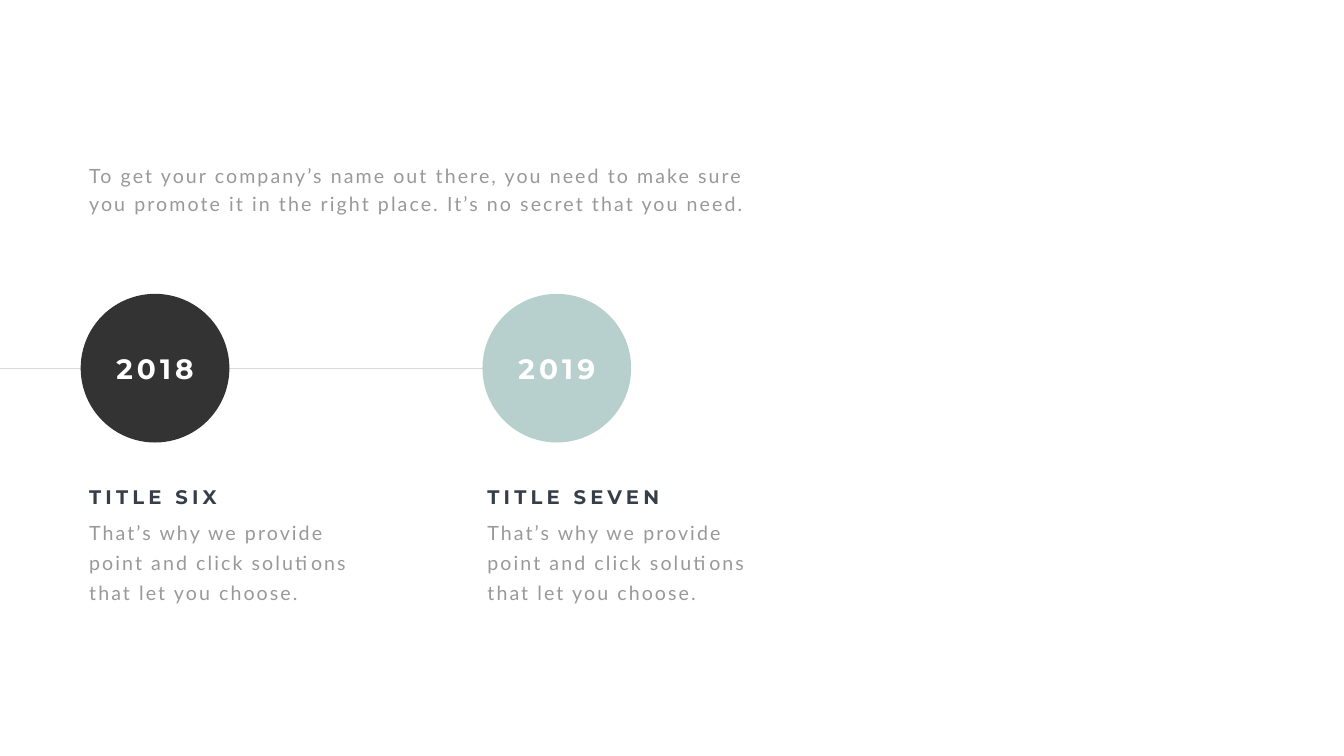
from pptx import Presentation
from pptx.dml.color import RGBColor
from pptx.enum.shapes import MSO_CONNECTOR, MSO_SHAPE
from pptx.enum.text import MSO_AUTO_SIZE, PP_ALIGN
from pptx.oxml.ns import qn
from pptx.util import Pt
from lxml.etree import SubElement

BODY = {"name": "Lato", "size": Pt(28), "bold": False}
HEAD = {"name": "Montserrat", "size": Pt(28), "bold": True}
YEAR = {"name": "Montserrat", "size": Pt(40), "bold": True}
GREY = "999999"
NAVY = "363E48"
WHITE = "FFFFFF"
BLURB = "That’s why we provide point and click solutions that let you choose."
INTRO = ("To get your company’s name out there, you need to make sure "
         "you promote it in the right place. It’s no secret that you need.")
DISC = 212.4
STOPS = [
    (115.2, 120.24, "323332", "2018", "TITLE SIX"),
    (689.04, 689.04, "B7D0CD", "2019", "TITLE SEVEN"),
]


def color(code):
    return RGBColor.from_string(code)


def add_text(slide, box, text, style, ink, gap, lead=None, align=PP_ALIGN.LEFT):
    frame = slide.shapes.add_textbox(*map(Pt, box)).text_frame
    frame.word_wrap = True
    frame.auto_size = MSO_AUTO_SIZE.SHAPE_TO_FIT_TEXT
    para = frame.paragraphs[0]
    para.alignment = align
    if lead:
        para.line_spacing = Pt(lead)
    run = para.add_run()
    run.text = text
    for key, value in style.items():
        setattr(run.font, key, value)
    run.font.color.rgb = color(ink)
    run._r.get_or_add_rPr().set("spc", str(gap * 100))


def add_axis(slide, left, top, width):
    line = slide.shapes.add_connector(
        MSO_CONNECTOR.STRAIGHT, Pt(left), Pt(top), Pt(left + width), Pt(top))
    line.line.color.rgb = color("D9D9D9")
    line.line.width = Pt(0.5)
    SubElement(line._element.spPr, qn("a:effectLst"))


def add_disc(slide, box, fill, year):
    left, top, width, height = box
    disc = slide.shapes.add_shape(MSO_SHAPE.OVAL, *map(Pt, box))
    disc.shadow.inherit = False
    disc.fill.solid()
    disc.fill.fore_color.rgb = color(fill)
    disc.line.fill.background()
    wide, high = 149.76, 55.44
    label = (left + (width - wide) / 2, top + (height - high) / 2, wide, high)
    add_text(slide, label, year, YEAR, WHITE, 6, align=PP_ALIGN.CENTER)


def add_note(slide, box, title):
    left, top, width, height = box
    head = 41.04
    add_text(slide, (left, top, 317.52, head), title, HEAD, NAVY, 6)
    add_text(slide, (left, top + head, width, height - head),
             BLURB, BODY, GREY, 3, 43)


def main():
    deck = Presentation()
    deck.slide_width, deck.slide_height = Pt(1919.52), Pt(1080)
    slide = deck.slides.add_slide(deck.slide_layouts[6])
    add_axis(slide, 0, 525.6, 880.56)
    for left, inset, fill, year, title in STOPS:
        add_disc(slide, (left, 419.76, DISC, DISC), fill, year)
        add_note(slide, (inset, 689.76, 392.4, 174.24), title)
    add_text(slide, (120.24, 223.2, 961.2, 85.68), INTRO, BODY, GREY, 3, 40.8)
    deck.save("out.pptx")


if __name__ == "__main__":
    main()
